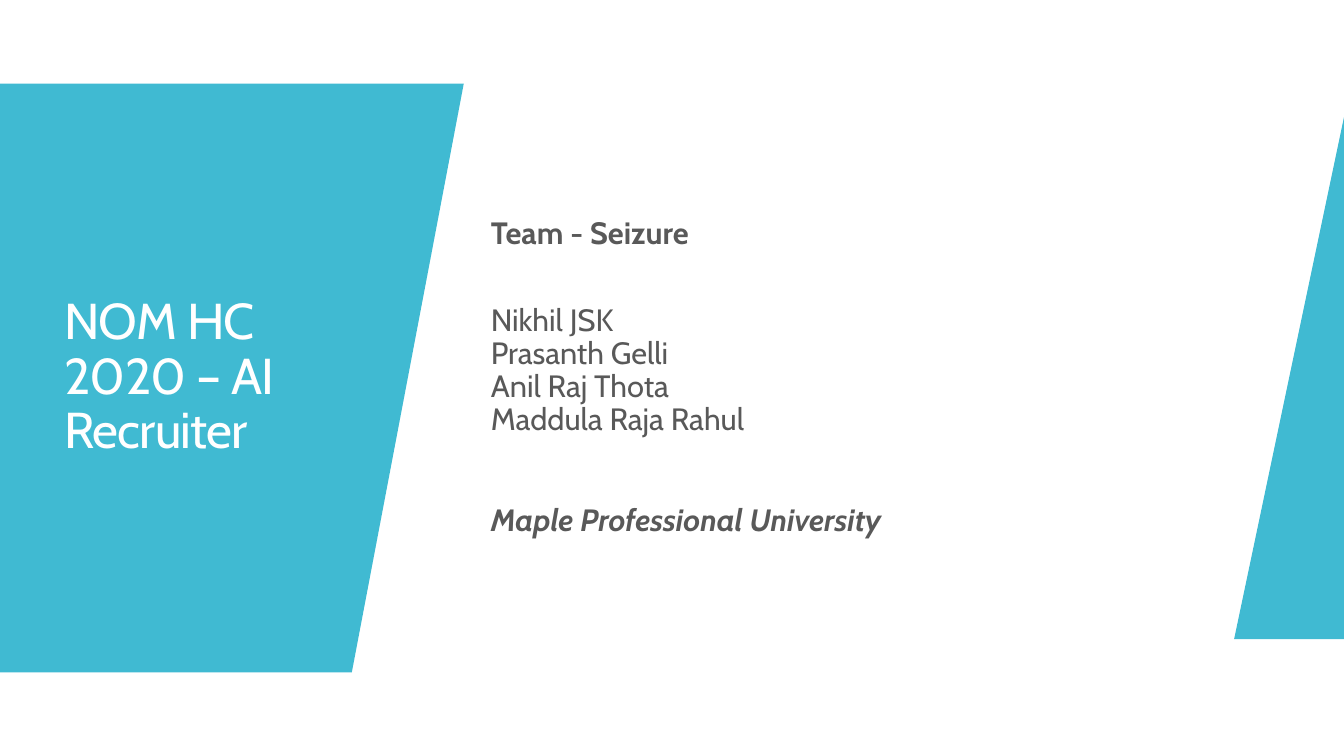
from pptx import Presentation
from pptx.dml.color import RGBColor
from pptx.enum import text
from pptx.util import Inches, Pt

COLOURS = {"teal": "40BAD2", "white": "FFFFFF", "grey": "595959"}
FONT = "Cabin"
BOX_TOP, BOX_HEIGHT = 1.84, 3.82

PANELS = [
    [(0, 0.83), (4.6, 0.83), (3.49, 6.67), (0, 6.67)],
    [(13.33, 1.16), (13.33, 6.34), (12.24, 6.34)],
]
TITLE = [("NOM HC 2020 – AI Recruiter", 0, False, False)]
TEAM = [
    ("Team - Seizure", 0, True, False),
    ("Nikhil JSK", 38, False, False),
    ("Prasanth Gelli", 0, False, False),
    ("Anil Raj Thota", 0, False, False),
    ("Maddula Raja Rahul", 0, False, False),
    ("Maple Professional University", 48, True, True),
]
TEXT_BLOCKS = [
    (TITLE, 0.54, 3.03, 36, "white", -60),
    (TEAM, 4.77, 7.25, 22, "grey", 0),
]


def colour(name):
    return RGBColor.from_string(COLOURS[name])


def add_panel(slide, points):
    corners = [(Inches(x), Inches(y)) for x, y in points]
    builder = slide.shapes.build_freeform(*corners[0])
    builder.add_line_segments(corners[1:], close=True)
    shape = builder.convert_to_shape()
    shape.shadow.inherit = False
    shape.fill.solid()
    shape.fill.fore_color.rgb = colour("teal")
    shape.line.fill.background()


def add_text_block(slide, lines, left, width, size, colour_name, tracking):
    box = slide.shapes.add_textbox(
        Inches(left), Inches(BOX_TOP), Inches(width), Inches(BOX_HEIGHT))
    frame = box.text_frame
    frame.word_wrap = True
    frame.vertical_anchor = text.MSO_ANCHOR.MIDDLE
    frame.text = "\n".join(line[0] for line in lines)
    for paragraph, (_, gap, bold, italic) in zip(frame.paragraphs, lines):
        paragraph.line_spacing = 0.9
        paragraph.space_before = Pt(gap)
        run = paragraph.runs[0]
        run.font.name = FONT
        run.font.size = Pt(size)
        run.font.bold = bold
        run.font.italic = italic
        run.font.color.rgb = colour(colour_name)
        if tracking:
            run.font._element.set("spc", str(tracking))


def main():
    """Build the title slide with its slanted panels and team list."""
    presentation = Presentation()
    presentation.slide_width = Inches(13.33)
    presentation.slide_height = Inches(7.5)
    slide = presentation.slides.add_slide(presentation.slide_layouts[6])
    for points in PANELS:
        add_panel(slide, points)
    for block in TEXT_BLOCKS:
        add_text_block(slide, *block)
    presentation.save("out.pptx")


if __name__ == "__main__":
    main()
